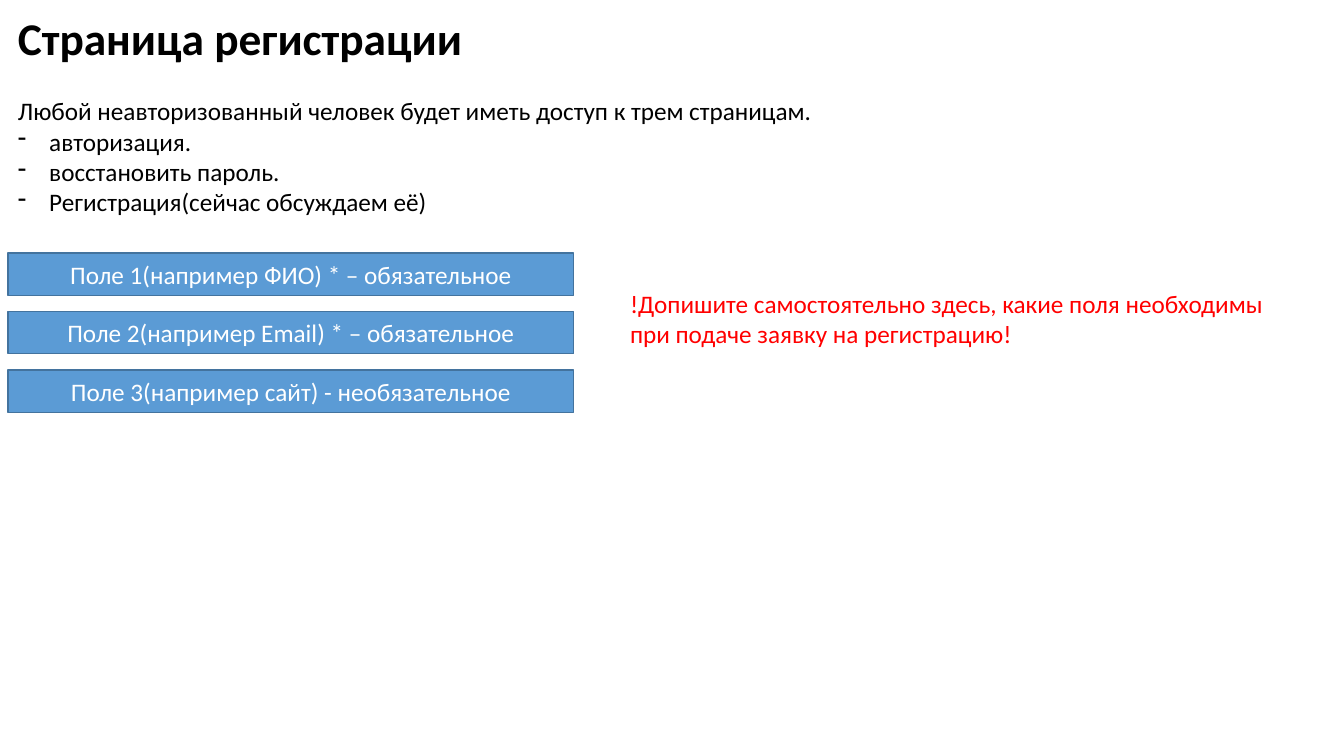
from lxml.etree import SubElement
from pptx import Presentation
from pptx.dml.color import RGBColor
from pptx.enum.shapes import MSO_SHAPE
from pptx.enum.text import MSO_ANCHOR, MSO_AUTO_SIZE, PP_ALIGN
from pptx.oxml.ns import qn
from pptx.util import Inches, Pt

TITLE = "Страница регистрации"
INTRO = "Любой неавторизованный человек будет иметь доступ к трем страницам."
PAGES = ["авторизация.", "восстановить пароль.", "Регистрация(сейчас обсуждаем её)"]
FIELDS = [
    "Поле 1(например ФИО) * – обязательное",
    "Поле 2(например Email) * – обязательное",
    "Поле 3(например сайт) - необязательное",
]
NOTE = [
    "!Допишите самостоятельно здесь, какие поля необходимы",
    "при подаче заявку на регистрацию!",
]

THEME = {
    "font": "Calibri", "head": 32.4, "body": 18,
    "ink": "000000", "alert": "FF0000", "light": "FFFFFF",
    "fill": "5B9BD5", "edge": "43739E",
}
LEFT = 0.08
INDENT = 0.31
FIELD = {"top": 2.51, "width": 5.61, "height": 0.42, "step": 0.58}
FREE = {"word_wrap": False, "auto_size": MSO_AUTO_SIZE.SHAPE_TO_FIT_TEXT}
MIDDLE = {"word_wrap": True, "vertical_anchor": MSO_ANCHOR.MIDDLE}


def color(name):
    """Return a theme colour."""
    return RGBColor.from_string(THEME[name])


def apply(item, style):
    """Set each attribute named in a dict."""
    for key, value in style.items():
        setattr(item, key, value)


def write(shape, lines, ink, frame, size="body", bold=False, **para):
    """Fill a shape with one paragraph per line."""
    text = shape.text_frame
    text.text = "\n".join(lines)
    apply(text, frame)
    for line in text.paragraphs:
        apply(line, para)
        apply(line.runs[0].font, {
            "name": THEME["font"], "size": Pt(THEME[size]), "bold": bold})
        line.runs[0].font.color.rgb = color(ink)
    return text


def dash(line):
    """Give a paragraph a hanging dash."""
    props = line._p.get_or_add_pPr()
    props.set("marL", str(Inches(INDENT)))
    props.set("indent", str(-Inches(INDENT)))
    SubElement(props, qn("a:buFontTx"))
    SubElement(props, qn("a:buChar"), char="-")


def box(slide, *place):
    """Add a text box, placed in inches."""
    return slide.shapes.add_textbox(*map(Inches, place))


def field(slide, row, label):
    """Draw one form field in its row."""
    top = FIELD["top"] + row * FIELD["step"]
    place = LEFT, top, FIELD["width"], FIELD["height"]
    bar = slide.shapes.add_shape(MSO_SHAPE.RECTANGLE, *map(Inches, place))
    bar.shadow.inherit = False
    bar.fill.solid()
    bar.fill.fore_color.rgb = color("fill")
    bar.line.color.rgb = color("edge")
    bar.line.width = Pt(1)
    write(bar, [label], "light", MIDDLE, alignment=PP_ALIGN.CENTER)


def main():
    """Build and save the slide."""
    deck = Presentation()
    apply(deck, {"slide_width": Inches(13.33), "slide_height": Inches(7.5)})
    slide = deck.slides.add_slide(deck.slide_layouts[6])

    write(box(slide, LEFT, 0.1, 11.5, 0.6), [TITLE], "ink", MIDDLE,
          size="head", bold=True, line_spacing=0.9)
    intro = write(box(slide, LEFT, 0.9, 8.17, 1.31), [INTRO, *PAGES], "ink", FREE)
    for line in intro.paragraphs[1:]:
        dash(line)
    for row, label in enumerate(FIELDS):
        field(slide, row, label)
    write(box(slide, 6.15, 2.81, 6.55, 0.71), NOTE, "alert", FREE)

    deck.save("out.pptx")


main()
